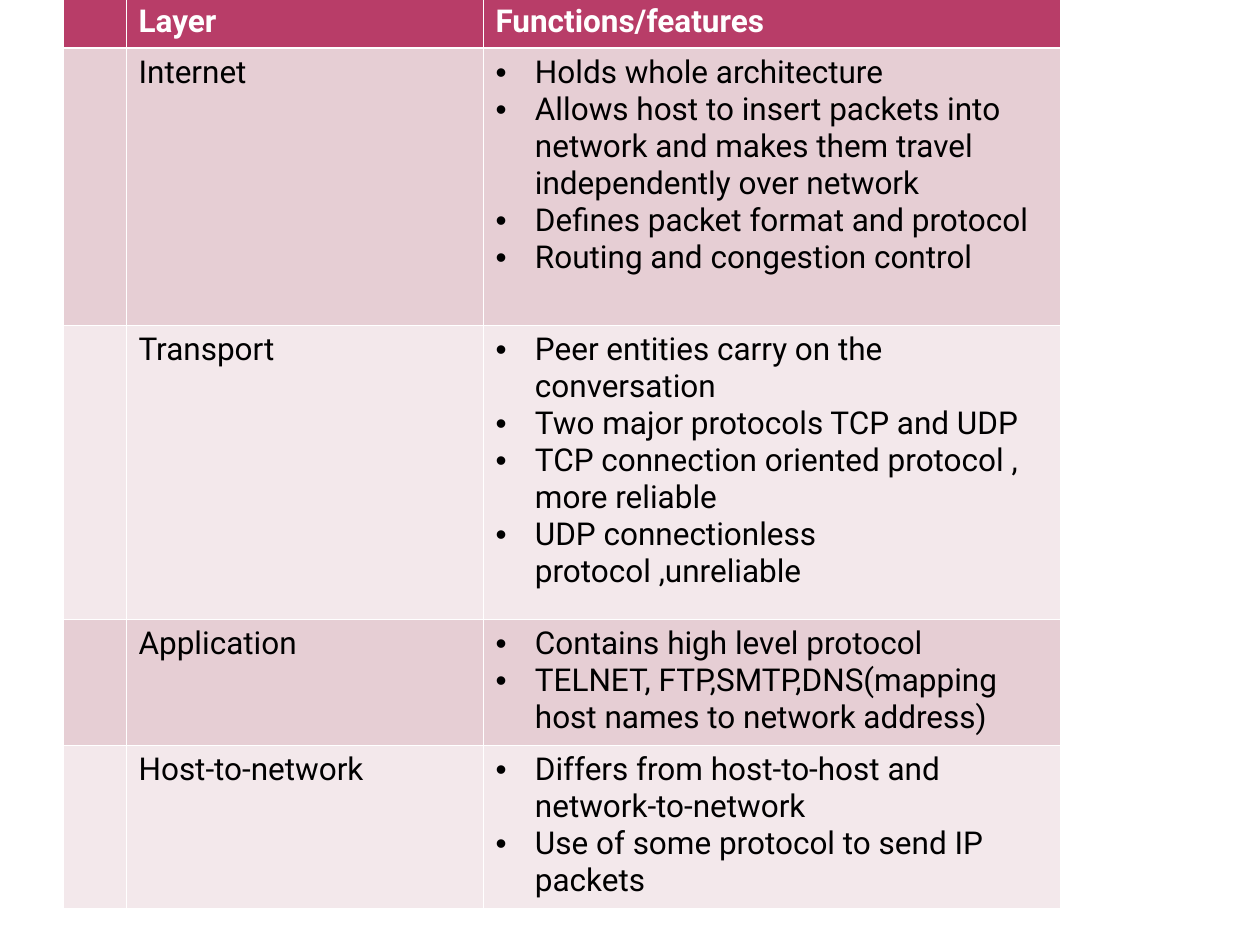
from dataclasses import dataclass

from lxml import etree
from pptx import Presentation
from pptx.dml.color import RGBColor
from pptx.oxml.ns import qn
from pptx.util import Pt


@dataclass(frozen=True)
class Theme:
    head: str = "B83D68"
    dark: str = "E6CED4"
    light: str = "F3E8EB"
    white: str = "FFFFFF"
    ink: str = "000000"
    face: str = "Roboto"
    size: float = 18
    thin: float = 0.45
    thick: float = 1.47


THEME = Theme()
INDENT = Pt(22.5)
COLS = [36, 204, 330]
HEIGHTS = [28.8, 158.4, 168, 72, 93.6]
HEADS = ["", "Layer", "Functions/features"]
LAYERS = [
    ("Internet", [
        "Holds whole architecture",
        "Allows host to insert packets into network and makes them travel "
        "independently over network",
        "Defines packet format and protocol",
        "Routing and congestion control",
    ]),
    ("Transport", [
        "Peer entities carry on the conversation",
        "Two major protocols TCP and UDP",
        "TCP connection oriented protocol , more reliable",
        "UDP connectionless protocol ,unreliable",
    ]),
    ("Application", [
        "Contains high level protocol",
        "TELNET, FTP,SMTP,DNS(mapping host names to network address)",
    ]),
    ("Host-to-network", [
        "Differs from host-to-host and network-to-network",
        "Use of some protocol to send IP packets",
    ]),
]


def add_node(parent, tag, **attrs):
    node = etree.SubElement(parent, qn(tag))
    for key, value in attrs.items():
        node.set(key, str(value))
    return node


def set_edges(cell, top, bottom):
    props = cell._tc.get_or_add_tcPr()
    widths = {"L": THEME.thin, "R": THEME.thin, "T": top, "B": bottom}
    for side, width in widths.items():
        line = add_node(props, f"a:ln{side}", w=Pt(width))
        fill = add_node(line, "a:solidFill")
        add_node(fill, "a:srgbClr", val=THEME.white)


def set_bullet(para):
    props = para._p.get_or_add_pPr()
    props.set("marL", str(INDENT))
    props.set("indent", str(-INDENT))
    color = add_node(props, "a:buClr")
    add_node(color, "a:srgbClr", val=THEME.ink)
    add_node(props, "a:buFont", typeface="Arial")
    add_node(props, "a:buChar", char="•")


def add_text(para, text, color, bold):
    if not text:
        end = add_node(para._p, "a:endParaRPr", sz=int(THEME.size * 100))
        add_node(end, "a:latin", typeface=THEME.face)
        return
    run = para.add_run()
    run.text = text
    style = {"name": THEME.face, "size": Pt(THEME.size), "bold": bold}
    for key, value in style.items():
        setattr(run.font, key, value)
    run.font.color.rgb = RGBColor.from_string(color)


def fill_cell(cell, content, row):
    head = row == 0
    top = THEME.thick if row == 1 else THEME.thin
    bottom = THEME.thick if head else THEME.thin
    set_edges(cell, top, bottom)
    band = THEME.dark if row % 2 else THEME.light
    cell.fill.solid()
    cell.fill.fore_color.rgb = RGBColor.from_string(THEME.head if head else band)
    listed = isinstance(content, list)
    frame = cell.text_frame
    for index, text in enumerate(content if listed else [content]):
        para = frame.add_paragraph() if index else frame.paragraphs[0]
        if listed:
            set_bullet(para)
        add_text(para, text, THEME.white if head else THEME.ink, head)


def add_grid(slide, rows):
    frame = slide.shapes.add_table(
        len(rows), len(COLS), Pt(36), Pt(-1.44), Pt(sum(COLS)), Pt(sum(HEIGHTS))
    )
    table = frame.table
    table.horz_banding = False
    for column, width in zip(table.columns, COLS):
        column.width = Pt(width)
    for row, height in zip(table.rows, HEIGHTS):
        row.height = Pt(height)
    for r, row in enumerate(rows):
        for c, content in enumerate(row):
            fill_cell(table.cell(r, c), content, r)


def main():
    deck = Presentation()
    deck.slide_width, deck.slide_height = Pt(720), Pt(540)
    slide = deck.slides.add_slide(deck.slide_layouts[6])
    add_grid(slide, [HEADS] + [["", name, points] for name, points in LAYERS])
    deck.save("out.pptx")


if __name__ == "__main__":
    main()
